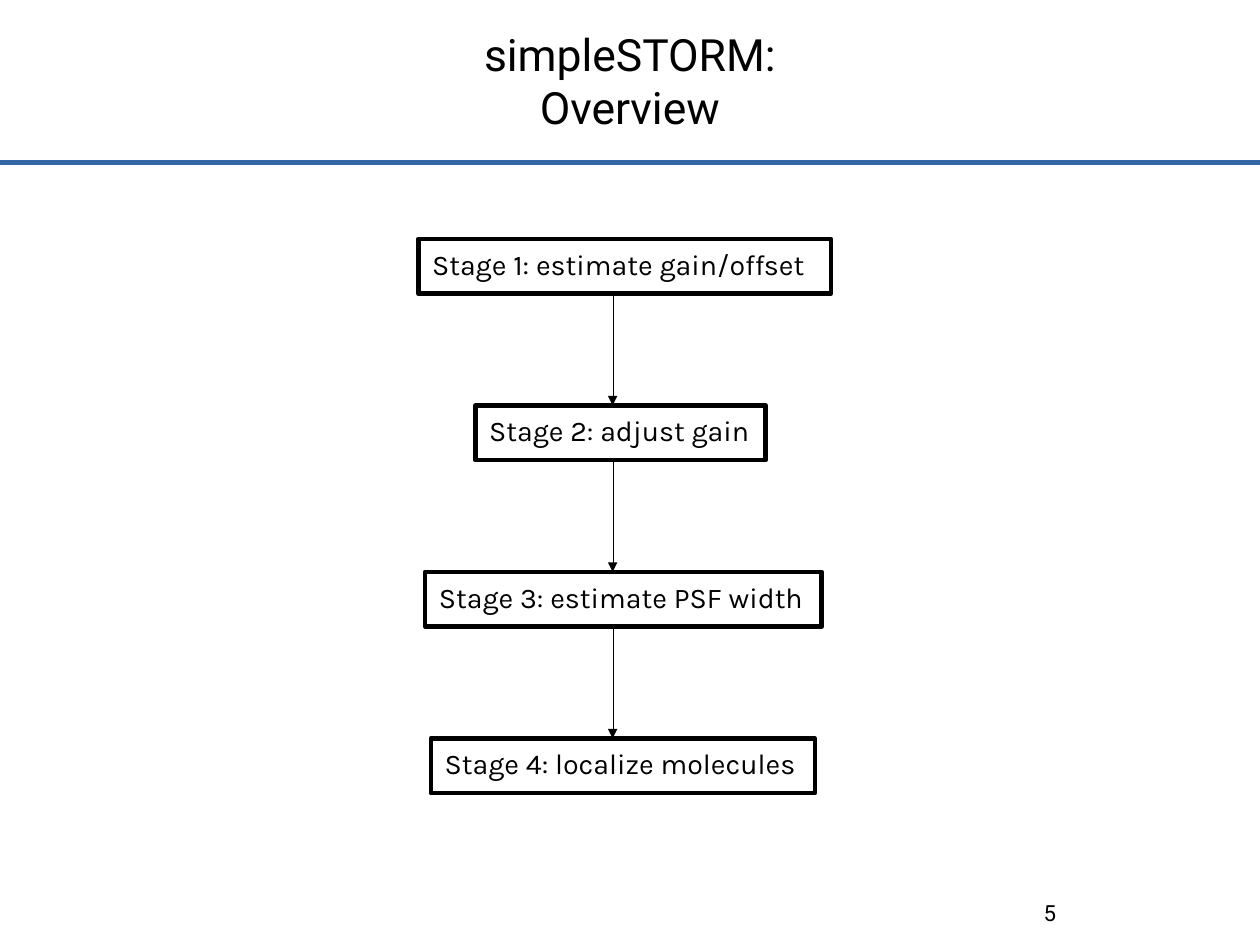
from lxml import etree
from pptx import Presentation
from pptx.dml.color import RGBColor
from pptx.enum.shapes import MSO_CONNECTOR, MSO_SHAPE
from pptx.enum.text import MSO_ANCHOR, PP_ALIGN
from pptx.oxml.ns import qn
from pptx.util import Cm, Inches, Pt

STRAIGHT, RECT = MSO_CONNECTOR.STRAIGHT, MSO_SHAPE.RECTANGLE
TOP, MIDDLE, BOTTOM = MSO_ANCHOR.TOP, MSO_ANCHOR.MIDDLE, MSO_ANCHOR.BOTTOM
LEFT, CENTER = PP_ALIGN.LEFT, PP_ALIGN.CENTER
BLACK = RGBColor(0x00, 0x00, 0x00)
BLUE = RGBColor(0x34, 0x65, 0xA4)

WIDE = 11.02
HEAD = (0.55, 0.01, 9.92, 1.38)
FLOW = (3.66, 2.09, 3.61, 4.85)
FOOT = (7.9, 7.53, 2.57, 0.57)
RULE_Y = 1.42
BOX_H = 0.48
AXIS = 1.7
THICK = 2.83
# Label, indent from the left of the flow, width
STAGES = [
    ("Stage 1: estimate gain/offset", 0, 3.61),
    ("Stage 2: adjust gain", 0.5, 2.54),
    ("Stage 3: estimate PSF width", 0.06, 3.47),
    ("Stage 4: localize molecules", 0.11, 3.36),
]


def set_all(item, values):
    for name, value in values.items():
        setattr(item, name, value)


def place(shape, box):
    names = ("left", "top", "width", "height")
    set_all(shape, dict(zip(names, map(Inches, box))))


def write(shape, lines, face, size, align, anchor, pad=(0, 0, 0, 0)):
    frame = shape.text_frame
    sides = ("margin_left", "margin_top", "margin_right", "margin_bottom")
    set_all(frame, {"word_wrap": True, "vertical_anchor": anchor,
                    **dict(zip(sides, map(Inches, pad)))})
    para = frame.paragraphs[0]
    set_all(para, {"alignment": align, "line_spacing": 1.0})
    for i, line in enumerate(lines):
        if i:
            para.add_line_break()
        run = para.add_run()
        run.text = line
        set_all(run.font, {"name": face, "size": Pt(size)})
        run.font.color.rgb = BLACK


def draw_line(slide, start, end, color):
    line = slide.shapes.add_connector(
        STRAIGHT, *map(Inches, start + end))
    line.line.color.rgb = color
    etree.SubElement(line._element.spPr, qn("a:effectLst"))
    return line


def draw_arrow(slide, start, end):
    # Hairline: a width of zero has to be written out
    edge = draw_line(slide, start, end, BLACK)._element.spPr.find(qn("a:ln"))
    edge.set("w", "0")
    etree.SubElement(edge, qn("a:tailEnd"), type="triangle")


def add_head(slide, box):
    # Rule across the slide, title above it
    rule = draw_line(slide, (0, RULE_Y), (WIDE, RULE_Y), BLUE)
    rule.line.width = Pt(THICK)
    title = slide.shapes.title
    place(title, box)
    write(title, ["simpleSTORM:", "Overview"], "Roboto", 28, CENTER, MIDDLE)


def add_flow(slide, box):
    left, top, _, height = box
    step = (height - BOX_H) / (len(STAGES) - 1)
    axis = left + AXIS
    for i, (label, indent, wide) in enumerate(STAGES):
        # Stage box
        y = top + i * step
        stage = slide.shapes.add_shape(RECT, 0, 0, 0, 0)
        place(stage, (left + indent, y, wide, BOX_H))
        stage.shadow.inherit = False
        stage.fill.background()
        stage.line.color.rgb = BLACK
        stage.line.width = Pt(THICK)
        write(stage, [label], "Karla", 18, LEFT, TOP,
              (0.12, 0.07, 0, 0.07))
        # Arrow from the stage before
        if i:
            draw_arrow(slide, (axis, y - step + BOX_H), (axis, y))


def add_foot(slide, box):
    # Page number
    page = slide.shapes.add_textbox(*map(Inches, box))
    write(page, ["5"], "Roboto", 14, CENTER, BOTTOM)


def main():
    deck = Presentation()
    deck.slide_width = Cm(28)
    deck.slide_height = Cm(21)
    slide = deck.slides.add_slide(deck.slide_layouts[5])
    add_head(slide, HEAD)
    add_flow(slide, FLOW)
    add_foot(slide, FOOT)
    deck.save("out.pptx")


if __name__ == "__main__":
    main()
